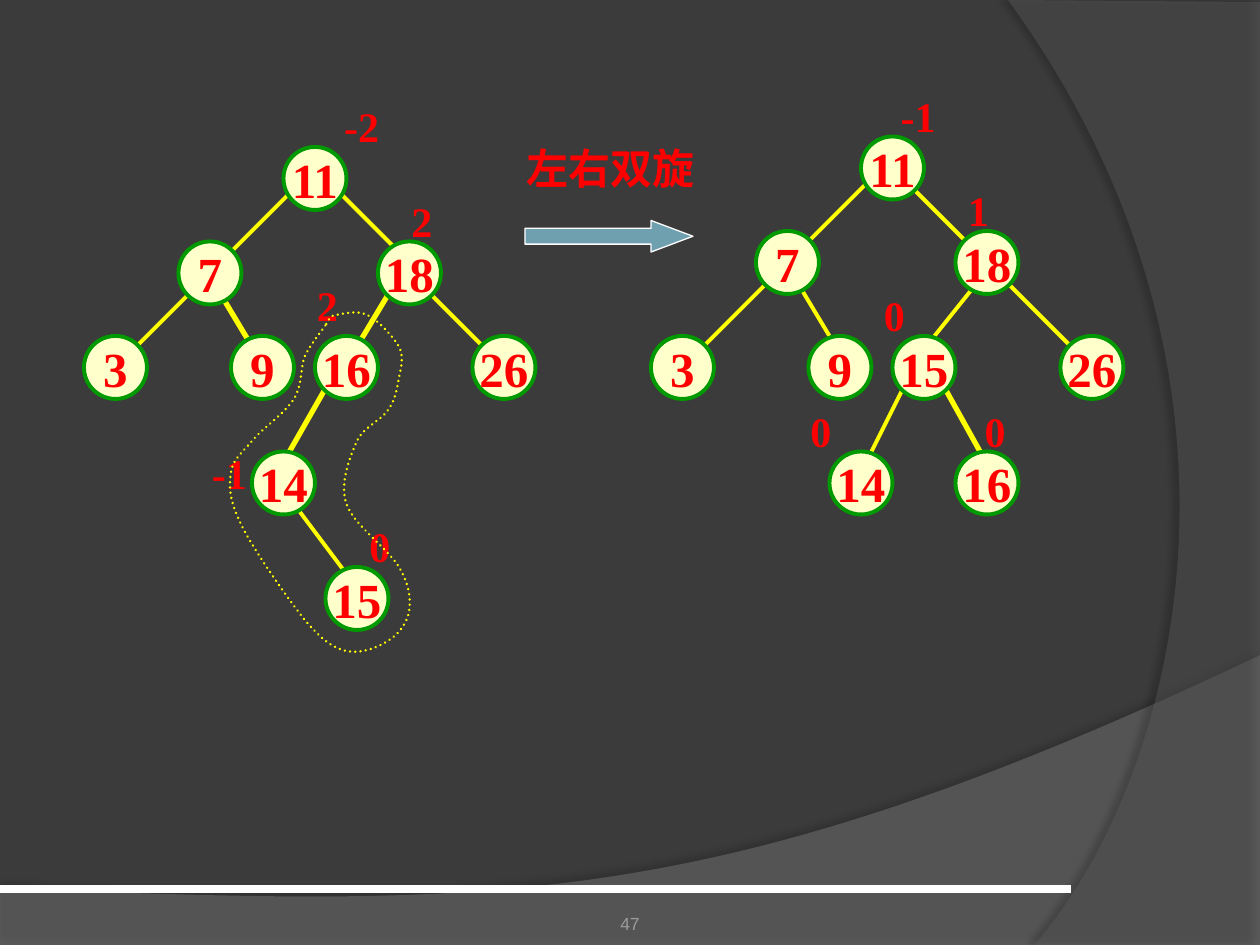
from dataclasses import dataclass
from typing import Optional

from lxml.etree import SubElement
from pptx import Presentation
from pptx.dml.color import RGBColor
from pptx.enum.dml import MSO_LINE
from pptx.enum.shapes import MSO_CONNECTOR, MSO_SHAPE
from pptx.enum.text import MSO_ANCHOR, MSO_AUTO_SIZE, PP_ALIGN
from pptx.oxml.ns import qn
from pptx.util import Emu, Pt

PX = 7620  # EMU per px, 120 px to the inch
NODE_SIZE = 60
SERIF = "Times New Roman"
RED, YELLOW, WHITE = "FF0000", "FFFF00", "FFFFFF"
CREAM, GREEN, STEEL = "FFFFCC", "009900", "6EA0B0"


@dataclass
class Node:
    text: str
    x: int
    y: int


@dataclass
class Edge:
    x1: int
    y1: int
    x2: int
    y2: int
    width: float = 2.25


@dataclass
class Label:
    text: str
    x: int
    y: int
    w: int = 44


@dataclass
class Backdrop:
    """A translucent panel with an outer shadow (alpha in %, dist in pt, angle in degrees)."""
    start: tuple
    segments: list
    color: str
    alpha: int
    shadow_alpha: int
    shadow_dist: float
    shadow_angle: int


BACKDROPS = [
    Backdrop((0, 846), [(0, 901), (1200, 901), (1200, 624), (671, 875, 469, 863, 0, 846)],
             "7F7F7F", 45, 35, 3.5, 270),
    Backdrop((1200, 2), [(1200, 900), (985, 900), (1122, 743, 1222, 360, 960, 0), (1200, 2)],
             "5E5E5E", 40, 45, 4, 180),
]
EDGES = [
    # before the rotation
    Edge(290, 170, 220, 240), Edge(320, 180, 380, 240),
    Edge(190, 270, 110, 350), Edge(210, 280, 240, 330, 3),
    Edge(370, 280, 340, 330, 3), Edge(410, 280, 470, 340),
    Edge(310, 370, 270, 440, 3), Edge(280, 480, 340, 560),
    # after the rotation
    Edge(830, 170, 760, 240), Edge(870, 180, 930, 240),
    Edge(730, 270, 670, 330), Edge(760, 270, 790, 320),
    Edge(930, 270, 890, 320), Edge(960, 270, 1050, 360),
    Edge(860, 370, 820, 450), Edge(900, 370, 950, 460, 3),
]
NODES = [
    # before the rotation
    Node("11", 270, 140), Node("7", 170, 230), Node("18", 360, 230),
    Node("3", 80, 320), Node("9", 220, 320), Node("16", 300, 320),
    Node("26", 450, 320), Node("14", 240, 430), Node("15", 310, 540),
    # after the rotation
    Node("11", 820, 130), Node("7", 720, 220), Node("18", 910, 220),
    Node("3", 620, 320), Node("9", 770, 320), Node("15", 850, 320),
    Node("26", 1010, 320), Node("14", 790, 430), Node("16", 910, 430),
]
LABELS = [
    Label("-2", 316, 90, 58), Label("2", 380, 180), Label("2", 290, 260),
    Label("-1", 190, 420, 58), Label("0", 340, 490),
    Label("左右双旋", 490, 130, 186),
    Label("-1", 846, 80, 58), Label("1", 910, 170), Label("0", 830, 270),
    Label("0", 760, 380), Label("0", 926, 380),
]
ROTATED_START = (310, 310)
ROTATED_CURVES = [
    (305, 317, 295, 329, 290, 340), (286, 352, 288, 367, 280, 380),
    (271, 394, 250, 408, 240, 420), (230, 432, 222, 437, 220, 450),
    (218, 463, 218, 476, 230, 500), (241, 523, 274, 570, 290, 590),
    (307, 610, 317, 617, 330, 620), (343, 623, 360, 617, 370, 610),
    (380, 604, 389, 592, 390, 580), (391, 569, 390, 557, 380, 540),
    (370, 523, 337, 500, 330, 480), (323, 460, 334, 434, 340, 420),
    (347, 406, 364, 400, 370, 390), (377, 380, 378, 370, 380, 360),
    (382, 350, 385, 340, 380, 330), (374, 320, 360, 305, 350, 300),
    (340, 295, 326, 299, 320, 300), (313, 301, 314, 304, 310, 310),
]


def rgb(color: str) -> RGBColor:
    return RGBColor.from_string(color)


def box(*lengths: int) -> list:
    return [Emu(n * PX) for n in lengths]


def style(s, fill: Optional[str], line: Optional[str], width: float = 0) -> None:
    s.shadow.inherit = False
    if fill:
        s.fill.solid()
        s.fill.fore_color.rgb = rgb(fill)
    else:
        s.fill.background()
    if line:
        s.line.color.rgb = rgb(line)
        s.line.width = Pt(width)
    else:
        s.line.fill.background()


def write(tf, text: str, size: int, color: str, font: str = SERIF,
          bold: bool = True, align=PP_ALIGN.LEFT) -> None:
    p = tf.paragraphs[0]
    p.text = text
    p.alignment = align
    p.font.name, p.font.size, p.font.bold = font, Pt(size), bold
    p.font.color.rgb = rgb(color)


def outline(slide, start: tuple, segments: list):
    """Closed freeform; a segment is a line end (2 numbers) or a cubic curve (6)."""
    builder = slide.shapes.build_freeform(*box(*start))
    builder.add_line_segments([box(*seg[-2:]) for seg in segments], close=True)
    s = builder.convert_to_shape()
    lines = list(s.element.spPr.iter(qn("a:lnTo")))
    for line, seg in zip(lines, segments):
        if len(seg) == 6:
            curve = line.makeelement(qn("a:cubicBezTo"))
            for x, y in zip(seg[::2], seg[1::2]):
                SubElement(curve, qn("a:pt"), x=str(x * PX - s.left), y=str(y * PX - s.top))
            line.getparent().replace(line, curve)
    return s


def add_alpha(color_el, percent: int) -> None:
    SubElement(color_el, qn("a:alpha")).set("val", str(percent * 1000))


def draw_backdrop(slide, panel: Backdrop) -> None:
    s = outline(slide, panel.start, panel.segments)
    style(s, panel.color, None)
    sp_pr = s.element.spPr
    add_alpha(sp_pr.find(qn("a:solidFill"))[0], panel.alpha)
    shadow = SubElement(sp_pr.find(qn("a:effectLst")), qn("a:outerShdw"),
                        blurRad=str(Pt(4)), dist=str(Pt(panel.shadow_dist)),
                        dir=str(panel.shadow_angle * 60000), rotWithShape="0")
    add_alpha(SubElement(shadow, qn("a:srgbClr"), val="000000"), panel.shadow_alpha)


def draw_edge(slide, edge: Edge, color: str = YELLOW) -> None:
    s = slide.shapes.add_connector(MSO_CONNECTOR.STRAIGHT,
                                   *box(edge.x1, edge.y1, edge.x2, edge.y2))
    s.line.color.rgb = rgb(color)
    s.line.width = Pt(edge.width)
    SubElement(s.element.spPr, qn("a:effectLst"))


def draw_node(slide, node: Node) -> None:
    s = slide.shapes.add_shape(MSO_SHAPE.OVAL, *box(node.x, node.y, NODE_SIZE, NODE_SIZE))
    style(s, CREAM, GREEN, 2.25)
    tf = s.text_frame
    tf.word_wrap = False
    tf.vertical_anchor = MSO_ANCHOR.MIDDLE
    write(tf, node.text, 28, RED, align=PP_ALIGN.CENTER)


def draw_label(slide, label: Label) -> None:
    tf = slide.shapes.add_textbox(*box(label.x, label.y, label.w, 60)).text_frame
    tf.word_wrap = False
    tf.auto_size = MSO_AUTO_SIZE.SHAPE_TO_FIT_TEXT
    write(tf, label.text, 24, RED)


def draw_page_number(slide, text: str) -> None:
    tf = slide.shapes.add_textbox(*box(410, 842, 380, 48)).text_frame
    tf.word_wrap = True
    tf.vertical_anchor = MSO_ANCHOR.BOTTOM
    tf.margin_left, tf.margin_top, tf.margin_right, tf.margin_bottom = box(0, 6, 0, 0)
    write(tf, text, 10, "9D9B9A", "Arial", False, PP_ALIGN.CENTER)


def main() -> None:
    prs = Presentation()
    prs.slide_width, prs.slide_height = box(1200, 900)
    slide = prs.slides.add_slide(prs.slide_layouts[6])
    slide.background.fill.solid()
    slide.background.fill.fore_color.rgb = rgb("3B3B3B")

    for panel in BACKDROPS:
        draw_backdrop(slide, panel)
    draw_edge(slide, Edge(0, 847, 1020, 847, 4.5), WHITE)
    draw_page_number(slide, "47")
    for edge in EDGES:
        draw_edge(slide, edge)
    for node in NODES:
        draw_node(slide, node)
    arrow = slide.shapes.add_shape(MSO_SHAPE.RIGHT_ARROW, *box(500, 210, 160, 30))
    arrow.adjustments[0], arrow.adjustments[1] = 0.5, 1.33
    style(arrow, STEEL, WHITE, 0.75)
    for label in LABELS:
        draw_label(slide, label)
    rotated = outline(slide, ROTATED_START, ROTATED_CURVES)
    style(rotated, None, YELLOW, 1.5)
    rotated.line.dash_style = MSO_LINE.ROUND_DOT
    rotated.element.spPr.find(qn("a:ln")).set("cap", "rnd")
    prs.save("out.pptx")


if __name__ == "__main__":
    main()
